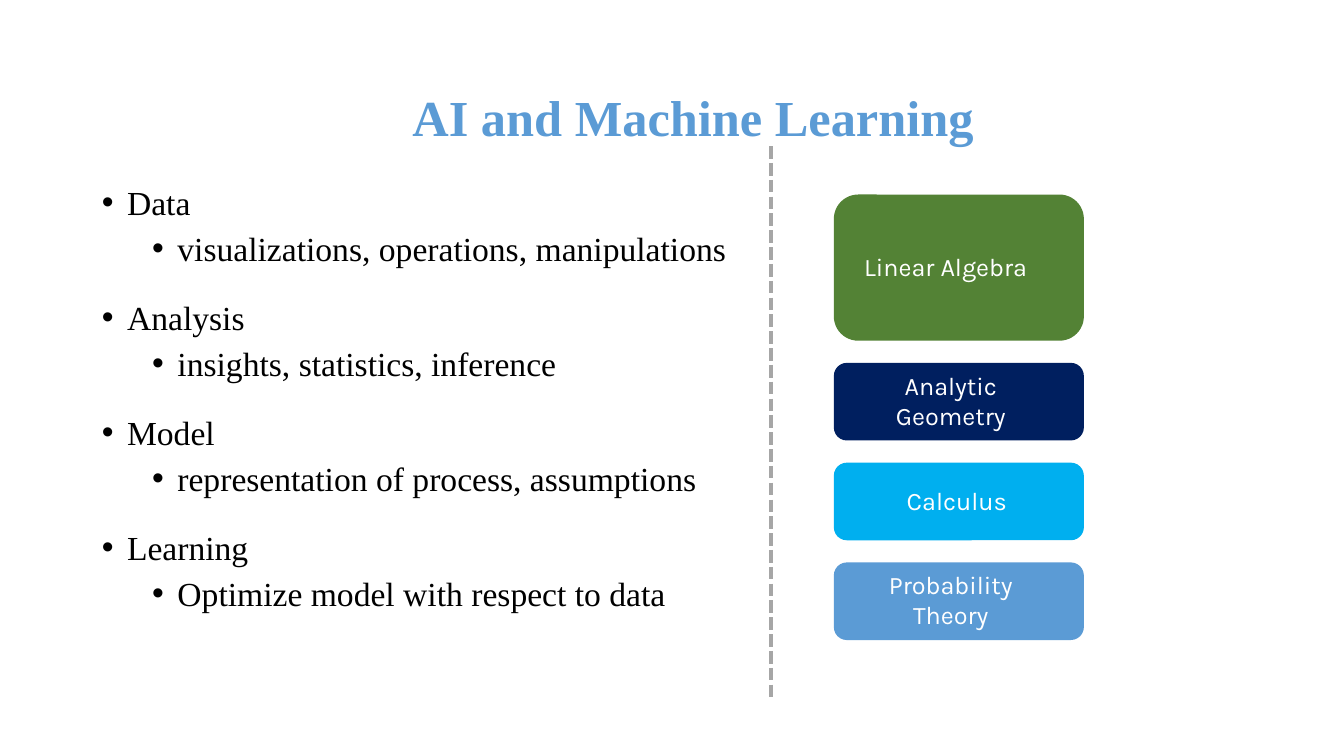
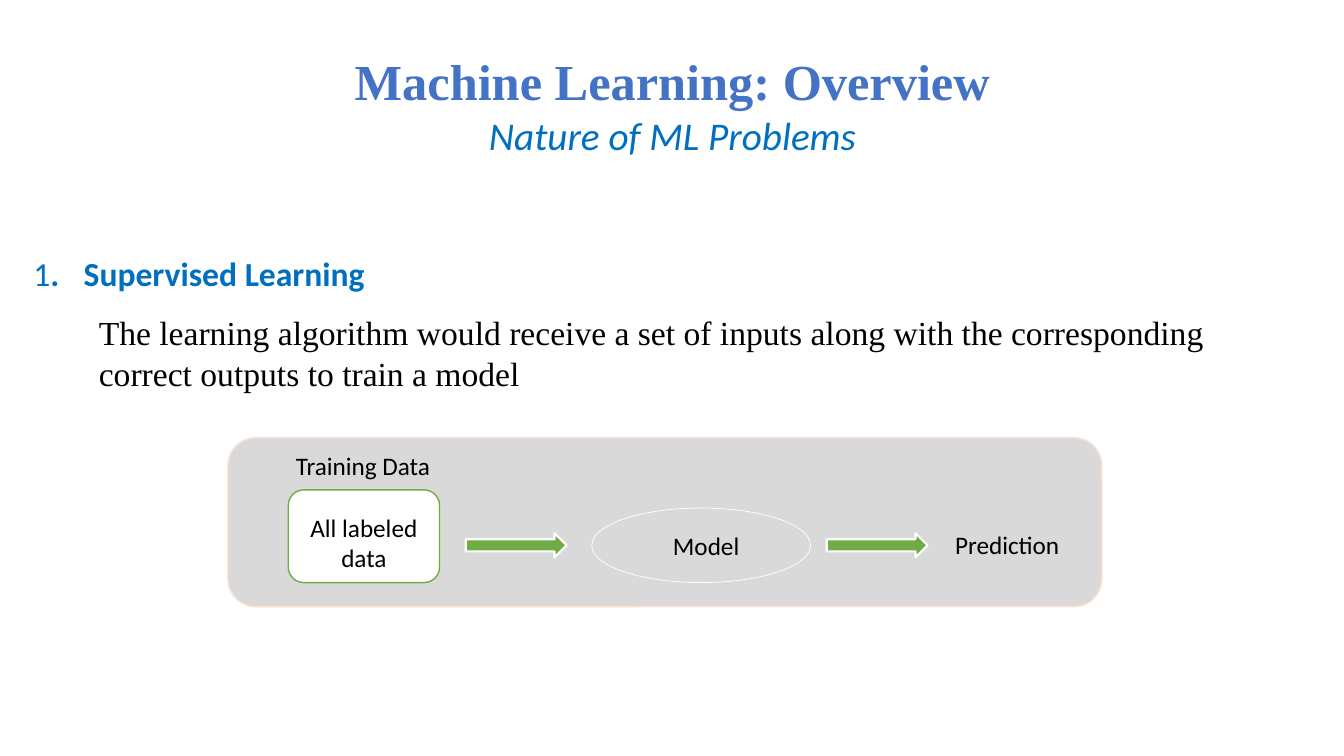
from lxml import etree
from pptx import Presentation
from pptx.dml.color import RGBColor
from pptx.enum.dml import MSO_LINE
from pptx.enum.shapes import MSO_CONNECTOR, MSO_SHAPE
from pptx.enum.text import MSO_ANCHOR, MSO_AUTO_SIZE, PP_ALIGN
from pptx.oxml.ns import qn
from pptx.util import Inches, Pt

SERIF, SANS, ROUND = "Times New Roman", "Calibri", "Karla"
BLACK, WHITE = RGBColor(0, 0, 0), RGBColor(255, 255, 255)
SKY, ROYAL = RGBColor(0x5B, 0x9B, 0xD5), RGBColor(0x44, 0x72, 0xC4)
BLUE, NAVY = RGBColor(0x00, 0x6F, 0xC0), RGBColor(0x00, 0x1F, 0x5F)
CYAN, FOREST = RGBColor(0x00, 0xAF, 0xEF), RGBColor(0x53, 0x82, 0x35)
GREEN, PEACH = RGBColor(0x6F, 0xAC, 0x46), RGBColor(0xFA, 0xE4, 0xD5)
SILVER, GRAY = RGBColor(0xD9, 0xD9, 0xD9), RGBColor(0xA6, 0xA6, 0xA6)

TOPICS = [
    ("Data", "visualizations, operations, manipulations"),
    ("Analysis", "insights, statistics, inference"),
    ("Model", "representation of process, assumptions"),
    ("Learning", "Optimize model with respect to data"),
]
# label, fill, height, right inset
MATHS = [
    ("Linear Algebra", FOREST, 1.45, 0.26),
    ("Analytic\nGeometry", NAVY, 0.77, 0.16),
    ("Calculus", CYAN, 0.77, 0.04),
    ("Probability\nTheory", SKY, 0.77, 0.16),
]
MATHS_LEFT, MATHS_TOP, MATHS_WIDTH, MATHS_GAP = 8.27, 1.93, 2.48, 0.22

SUPERVISED = ("The learning algorithm would receive a set of inputs along with "
              "the corresponding correct outputs to train a model")
FLOW_AXIS = 5.41
ARROW_LEFTS = (4.62, 8.2)
FLOW_LABELS = [("Training Data", (2.92, 4.45, 1.36, 0.33)),
               ("Prediction", (9.46, FLOW_AXIS - 0.17, 1.06, 0.33))]


def style(p, font, size, color, bold=False, italic=False):
    for r in p.runs:
        f = r.font
        f.name, f.size, f.bold, f.italic = font, Pt(size), bold, italic
        f.color.rgb = color


def set_frame(tf, insets=(0, 0, 0, 0), anchor=MSO_ANCHOR.TOP, wrap=True):
    """Insets run left, top, right, bottom."""
    tf.auto_size, tf.word_wrap, tf.vertical_anchor = MSO_AUTO_SIZE.NONE, wrap, anchor
    tf.margin_left, tf.margin_top, tf.margin_right, tf.margin_bottom = map(Inches, insets)


def move(sp, box):
    sp.left, sp.top, sp.width, sp.height = map(Inches, box)


def add_slide(prs, title_box, title_lines, body_box, body_top):
    """Title lines are (text, font, size, colour, bold, italic)."""
    s = prs.slides.add_slide(prs.slide_layouts[1])
    title, body = s.shapes.title, s.placeholders[1]
    move(title, title_box)
    move(body, body_box)
    tf = title.text_frame
    tf.text = "\n".join(line[0] for line in title_lines)
    set_frame(tf, (0, 0.06, 0, 0), MSO_ANCHOR.MIDDLE)
    for p, line in zip(tf.paragraphs, title_lines):
        p.alignment = PP_ALIGN.CENTER
        p.space_before = Pt(0)
        style(p, *line[1:])
    set_frame(body.text_frame, (0, body_top, 0, 0))
    return s, body.text_frame


def set_bullet(p, margin, hanging=0, char=None, tab=None):
    pPr = p._p.get_or_add_pPr()
    pPr.set("marL", str(Inches(margin)))
    pPr.set("indent", str(-Inches(hanging)))
    if char:
        etree.SubElement(pPr, qn("a:buFont")).set("typeface", "Arial")
        etree.SubElement(pPr, qn("a:buChar")).set("char", char)
    else:
        etree.SubElement(pPr, qn("a:buNone"))
    if tab:
        stop = etree.SubElement(etree.SubElement(pPr, qn("a:tabLst")), qn("a:tab"))
        stop.set("pos", str(Inches(tab)))
        stop.set("algn", "l")


def write_centered(tf, text, font, color):
    tf.text = text
    for p in tf.paragraphs:
        p.alignment = PP_ALIGN.CENTER
        style(p, font, 18, color)


def add_block(s, kind, box, fill=None, line=None, width=1, text="",
              font=SANS, color=BLACK, insets=(0, 0, 0, 0)):
    sp = s.shapes.add_shape(kind, *map(Inches, box))
    sp.shadow.inherit = False
    if fill is None:
        sp.fill.background()
    else:
        sp.fill.solid()
        sp.fill.fore_color.rgb = fill
    if line is None:
        sp.line.fill.background()
    else:
        sp.line.color.rgb = line
        sp.line.width = Pt(width)
    if text:
        set_frame(sp.text_frame, insets, MSO_ANCHOR.MIDDLE)
        write_centered(sp.text_frame, text, font, color)


def build_topics(prs):
    s, tf = add_slide(
        prs, (1.33, 0.81, 11.09, 0.62),
        [("AI and Machine Learning", SERIF, 36, SKY, True)],
        (1, 1.71, 6.43, 4.26), 0.08)
    tf.text = "\n".join(text for topic in TOPICS for text in topic)
    for i, p in enumerate(tf.paragraphs):
        p.level = i % 2
        set_bullet(p, 0.26 + 0.5 * p.level, 0.25, "•")
        p.space_before = Pt(0 if i == 0 else 3 if p.level else 19.2)
        p.line_spacing = 1.04
        style(p, SERIF, 24, BLACK)

    divider = s.shapes.add_connector(
        MSO_CONNECTOR.STRAIGHT, Inches(7.65), Inches(1.45), Inches(7.65), Inches(6.94))
    divider.line.color.rgb = GRAY
    divider.line.width = Pt(3)
    divider.line.dash_style = MSO_LINE.SQUARE_DOT
    etree.SubElement(divider._element.spPr, qn("a:effectLst"))

    top = MATHS_TOP
    for label, fill, height, right in MATHS:
        add_block(s, MSO_SHAPE.ROUNDED_RECTANGLE, (MATHS_LEFT, top, MATHS_WIDTH, height),
                  fill, text=label, font=ROUND, color=WHITE, insets=(0, 0, right, 0.03))
        top += height + MATHS_GAP


def build_overview(prs):
    s, tf = add_slide(
        prs, (1.08, 0.46, 11.18, 1.09),
        [("Machine Learning: Overview", SERIF, 36, ROYAL, True),
         ("Nature of ML Problems", SANS, 28, BLUE, False, True)],
        (0.32, 2.28, 12.13, 1.61), 0.23)
    heading, detail = tf.paragraphs[0], tf.add_paragraph()
    for text in ("1", ".\tSupervised Learning"):
        heading.add_run().text = text
    set_bullet(heading, 0.01, tab=0.57)
    heading.space_before = Pt(0)
    style(heading, SANS, 24, BLUE, True)
    heading.runs[0].font.bold = False
    detail.text = SUPERVISED
    set_bullet(detail, 0.66)
    detail.space_before = Pt(11.8)
    detail.line_spacing = 1.04
    style(detail, SERIF, 24, BLACK)

    add_block(s, MSO_SHAPE.ROUNDED_RECTANGLE, (2.26, 4.34, 8.67, 1.68), SILVER, PEACH)
    add_block(s, MSO_SHAPE.ROUNDED_RECTANGLE, (2.86, 4.86, 1.5, 0.92), WHITE, GREEN,
              text="All labeled data", insets=(0.1, 0.13, 0.1, 0))
    add_block(s, MSO_SHAPE.OVAL, (5.87, FLOW_AXIS - 0.37, 2.17, 0.74), None, WHITE, 0.5,
              text="Model", insets=(0.1, 0, 0, 0))
    for left in ARROW_LEFTS:
        add_block(s, MSO_SHAPE.RIGHT_ARROW, (left, FLOW_AXIS - 0.12, 1, 0.24),
                  GREEN, WHITE, 1.5)
    for text, box in FLOW_LABELS:
        tf = s.shapes.add_textbox(*map(Inches, box)).text_frame
        set_frame(tf, anchor=MSO_ANCHOR.MIDDLE, wrap=False)
        write_centered(tf, text, SANS, BLACK)


def main():
    prs = Presentation()
    prs.slide_width, prs.slide_height = Inches(13.33), Inches(7.5)
    build_topics(prs)
    build_overview(prs)
    prs.save("out.pptx")


if __name__ == "__main__":
    main()
